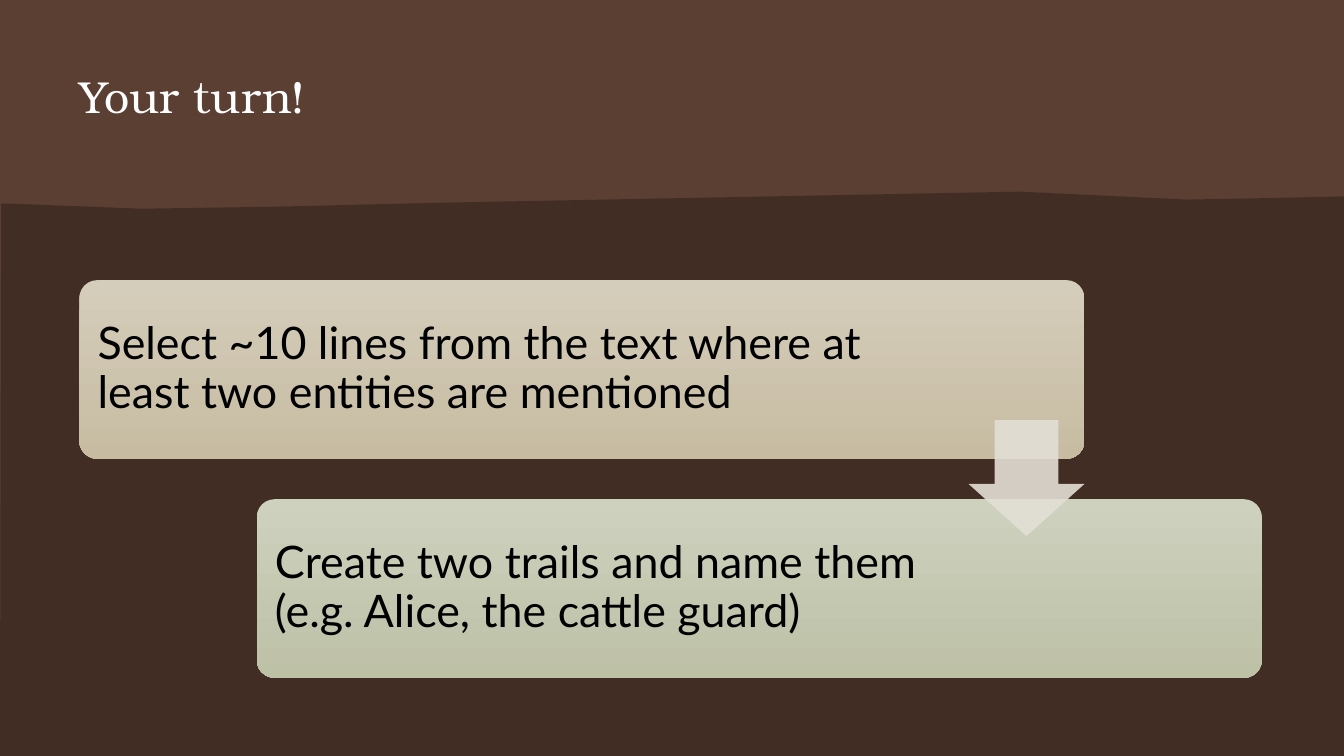
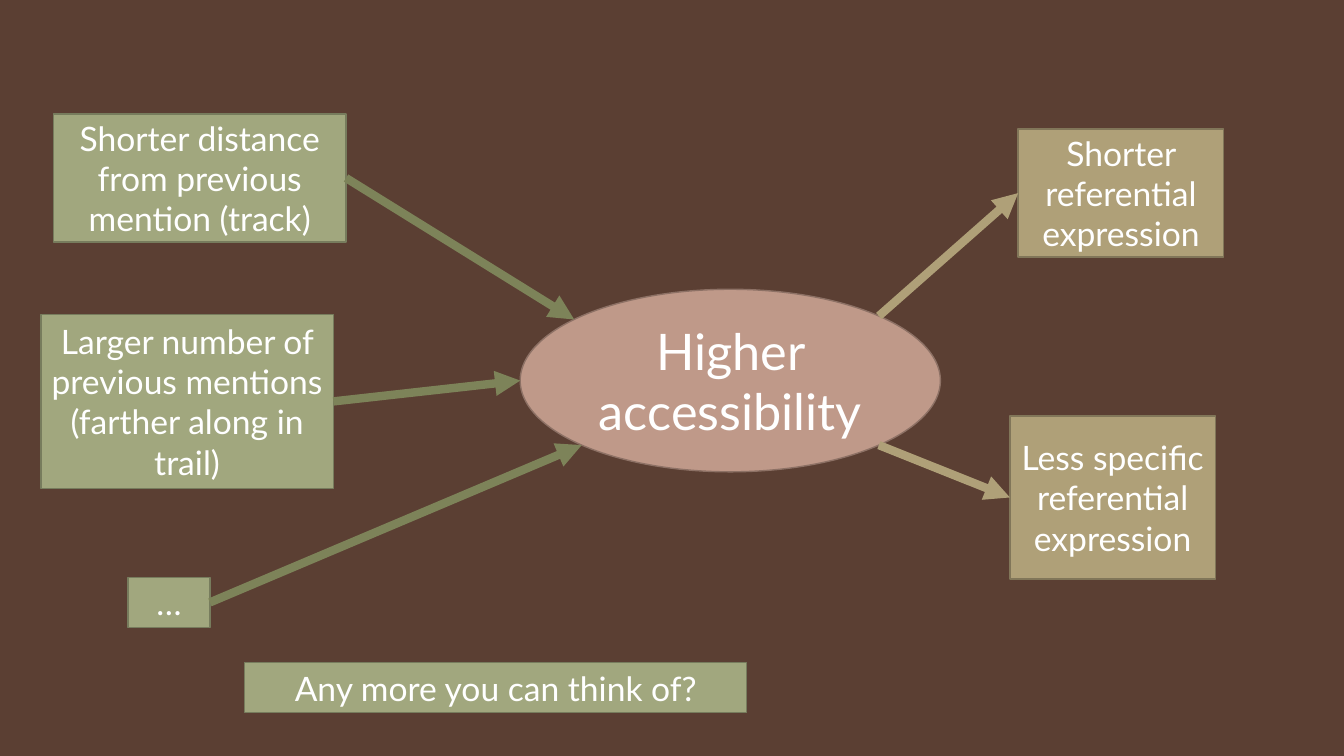
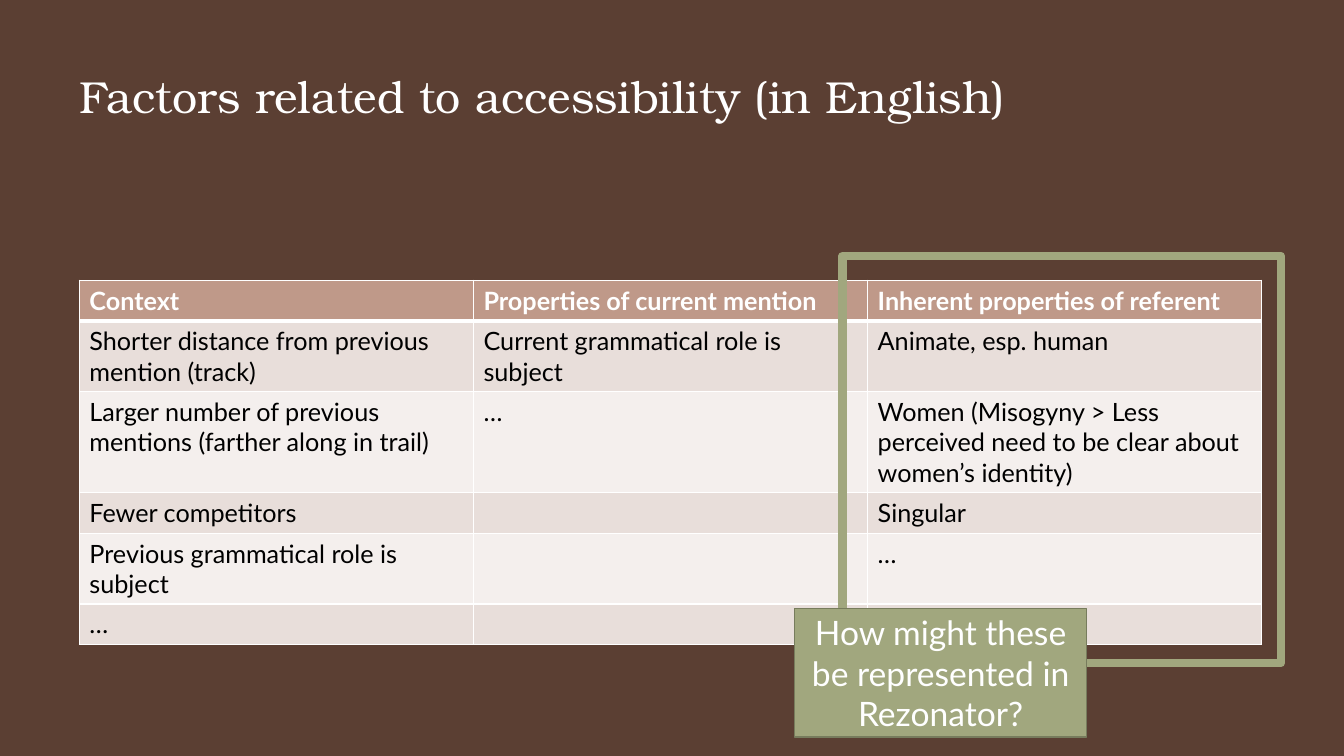
import math
from dataclasses import dataclass

import lxml.etree
import pptx
import pptx.dml.color
import pptx.enum.dml
import pptx.enum.shapes
import pptx.enum.text
import pptx.oxml.ns
import pptx.util

Cm = pptx.util.Cm
Pt = pptx.util.Pt
qn = pptx.oxml.ns.qn
Shape = pptx.enum.shapes.MSO_SHAPE
Anchor = pptx.enum.text.MSO_ANCHOR
Align = pptx.enum.text.PP_ALIGN


@dataclass(frozen=True)
class Theme:
    title_font: str = "TeX Gyre Bonum"
    body_font: str = "Lato"
    title_size: int = 32
    step_size: int = 32
    hub_size: int = 36
    box_size: int = 24
    table_size: int = 18
    brown: str = "5B3F33"
    dark: str = "412D24"
    white: str = "FFFFFF"
    black: str = "000000"
    rose: str = "BF9989"
    rose_line: str = "8D7165"
    green: str = "A1A77E"
    green_line: str = "777C5D"
    green_arrow: str = "7D8359"
    tan: str = "AFA078"
    tan_line: str = "817659"
    step_arrow: str = "E3DFD6"
    bands: tuple = ("E8DEDA", "F4EFED")
    thin: float = 1
    thick: float = 6


THEME = Theme()

# Content; positions are left, top, width, height in cm
PAGE_SIZE = (33.87, 19.05)
MARGIN = 2
CONTENT_WIDTH = 29.8
CONTENT_TOP = 7.06

TURN_TITLE = "Your turn!"
GROUND = [(25.7, 4.83), (29.9, 5.03), (31.57, 5), (33.87, 4.95), (33.87, 19.05),
          (0, 19.05), (0.03, 5.13), (0.2, 5.13), (3.56, 5.26), (6.91, 5.21), (11.07, 5.11)]
STEP_SIZE = (25.33, 4.5)
STEP_GAP = 1.02
STEP_ARROW = (24.41, 10.59, 2.92, 2.92)
# text, gradient from top to bottom, right inset
STEPS = [
    ("Select ~10 lines from the text where at least two entities are mentioned",
     ("D5CDBB", "C7BCA2"), 4.7),
    ("Create two trails and name them (e.g. Alice, the cattle guard)",
     ("CED1BE", "BDC1A6"), 7.72),
]

HUB = ("Higher accessibility", (13.11, 7.29, 10.59, 4.6))
# text, position, angle on the hub's rim (clockwise from the right)
CAUSES = [
    ("Shorter distance from previous mention (track)", (1.35, 2.87, 7.37, 3.23), 222),
    ("Larger number of previous mentions (farther along in trail)", (1.03, 7.92, 7.37, 4.39), 180),
    ("…", (3.23, 14.55, 2.06, 1.26), 135),
]
EFFECTS = [
    ("Shorter referential expression", (25.66, 3.25, 5.18, 3.23), 315),
    ("Less specific referential expression", (25.45, 10.48, 5.18, 4.11), 45),
]
QUESTION = ("Any more you can think of?", (6.17, 16.7, 12.65, 1.26))

FACTORS_TITLE = "Factors related to accessibility (in English)"
FACTORS = [
    ("Context", "Properties of current mention", "Inherent properties of referent"),
    ("Shorter distance from previous mention (track)", "Current grammatical role is subject",
     "Animate, esp. human"),
    ("Larger number of previous mentions (farther along in trail)", "…",
     "Women (Misogyny > Less perceived need to be clear about women’s identity)"),
    ("Fewer competitors", "", "Singular"),
    ("Previous grammatical role is subject", "", "…"),
    ("…", "", ""),
]
ROW_HEIGHT = 1.03
HIGHLIGHT = (21.23, 6.45, 11.05, 10.26)
CALLOUT = ("How might these be represented in Rezonator?", (20.02, 15.34, 7.37, 3.23))


# Helpers
def rgb(value):
    return pptx.dml.color.RGBColor.from_string(value)


def lengths(values):
    return [Cm(value) for value in values]


def style_text(frame, size, colour, font=THEME.body_font, bold=False, align=Align.LEFT):
    for para in frame.paragraphs:
        para.alignment = align
        for span in para.runs:
            span.font.name = font
            span.font.size = Pt(size)
            span.font.bold = bold
            span.font.color.rgb = rgb(colour)


def add_plain(page, kind, place, fill=None, line=None, width=THEME.thin):
    shape = page.shapes.add_shape(kind, *lengths(place))
    shape.shadow.inherit = False
    if fill:
        shape.fill.solid()
        shape.fill.fore_color.rgb = rgb(fill)
    else:
        shape.fill.background()
    if line:
        shape.line.color.rgb = rgb(line)
        shape.line.width = Pt(width)
    else:
        shape.line.fill.background()
    return shape


def add_box(page, text, place, fill, line, size=THEME.box_size, kind=Shape.RECTANGLE):
    box = add_plain(page, kind, place, fill, line)
    box.text_frame.text = text
    box.text_frame.word_wrap = True
    box.text_frame.vertical_anchor = Anchor.MIDDLE
    style_text(box.text_frame, size, THEME.white, align=Align.CENTER)
    return box


def add_title(page, text, height):
    title = page.shapes.title
    title.left, title.top, title.width, title.height = lengths((MARGIN, 1.73, CONTENT_WIDTH, height))
    frame = title.text_frame
    frame.text = text
    frame.auto_size = pptx.enum.text.MSO_AUTO_SIZE.NONE
    frame.vertical_anchor = Anchor.TOP
    frame.margin_left = frame.margin_right = frame.margin_top = frame.margin_bottom = 0
    style_text(frame, THEME.title_size, THEME.white, THEME.title_font)


def add_arrow(page, start, end, colour):
    arrow = page.shapes.add_connector(
        pptx.enum.shapes.MSO_CONNECTOR.STRAIGHT, *lengths(start + end))
    arrow.line.color.rgb = rgb(colour)
    arrow.line.width = Pt(THEME.thick)
    properties = arrow.element.spPr
    lxml.etree.SubElement(properties.find(qn("a:ln")), qn("a:tailEnd"), type="triangle")
    lxml.etree.SubElement(properties, qn("a:effectLst"))
    return arrow


def rim_point(place, degrees):
    left, top, width, height = place
    angle = math.radians(degrees)
    return (left + width / 2 * (1 + math.cos(angle)), top + height / 2 * (1 + math.sin(angle)))


def add_border(cell, side, width):
    line = lxml.etree.SubElement(cell._tc.get_or_add_tcPr(), qn("a:" + side), w=str(Pt(width)))
    fill = lxml.etree.SubElement(line, qn("a:solidFill"))
    lxml.etree.SubElement(fill, qn("a:srgbClr"), val=THEME.white)


# Slides
def build_turn(deck):
    page = deck.slides.add_slide(deck.slide_layouts[5])

    # Dark ground with an uneven upper edge
    points = [tuple(lengths(point)) for point in GROUND]
    builder = page.shapes.build_freeform(*points[0], scale=1.0)
    builder.add_line_segments(points[1:], close=True)
    ground = builder.convert_to_shape()
    ground.shadow.inherit = False
    ground.fill.solid()
    ground.fill.fore_color.rgb = rgb(THEME.dark)
    ground.line.fill.background()
    add_title(page, TURN_TITLE, 1.9)

    # Steps spread from the left margin to the right one
    width, height = STEP_SIZE
    shift = (CONTENT_WIDTH - width) / (len(STEPS) - 1)
    for index, (text, colours, right_inset) in enumerate(STEPS):
        place = (MARGIN + index * shift, CONTENT_TOP + index * (height + STEP_GAP), width, height)
        card = add_plain(page, Shape.ROUNDED_RECTANGLE, place)
        card.adjustments[0] = 0.1
        card.fill.gradient()
        card.fill.gradient_angle = 270
        for stop, colour in zip(card.fill.gradient_stops, colours):
            stop.color.rgb = rgb(colour)
        frame = card.text_frame
        frame.text = text
        frame.word_wrap = True
        frame.vertical_anchor = Anchor.MIDDLE
        frame.margin_left = Cm(0.33)
        frame.margin_right = Cm(right_inset)
        frame.paragraphs[0].line_spacing = 0.9
        style_text(frame, THEME.step_size, THEME.black)

    arrow = add_plain(page, Shape.DOWN_ARROW, STEP_ARROW, THEME.step_arrow)
    arrow.adjustments[0] = 0.45
    arrow.adjustments[0], arrow.adjustments[1] = 0.55, 0.45
    colour = arrow.element.spPr.find(qn("a:solidFill")).find(qn("a:srgbClr"))
    lxml.etree.SubElement(colour, qn("a:alpha"), val="90000")


def build_accessibility(deck):
    page = deck.slides.add_slide(deck.slide_layouts[6])
    hub_text, hub_place = HUB
    add_box(page, hub_text, hub_place, THEME.rose, THEME.rose_line, THEME.hub_size, Shape.OVAL)

    # Causes point at the hub, the hub points at its effects
    for text, place, degrees in CAUSES:
        box = add_box(page, text, place, THEME.green, THEME.green_line)
        rim = rim_point(hub_place, degrees)
        add_arrow(page, place[:2], rim, THEME.green_arrow).begin_connect(box, 3)
    for text, place, degrees in EFFECTS:
        box = add_box(page, text, place, THEME.tan, THEME.tan_line)
        rim = rim_point(hub_place, degrees)
        add_arrow(page, rim, place[:2], THEME.tan).end_connect(box, 1)
    add_box(page, *QUESTION, THEME.green, THEME.green_line)


def build_factors(deck):
    page = deck.slides.add_slide(deck.slide_layouts[5])
    add_title(page, FACTORS_TITLE, 4.11)

    # Table with a heavier rule under the header
    place = (MARGIN, CONTENT_TOP, CONTENT_WIDTH, ROW_HEIGHT * len(FACTORS))
    table = page.shapes.add_table(len(FACTORS), len(FACTORS[0]), *lengths(place)).table
    table.first_row = table.horz_banding = False
    for row, texts in enumerate(FACTORS):
        header = row == 0
        for column, text in enumerate(texts):
            cell = table.cell(row, column)
            for side in ("lnL", "lnR", "lnT", "lnB"):
                heavy = (row, side) in ((0, "lnB"), (1, "lnT"))
                add_border(cell, side, 3 if heavy else THEME.thin)
            cell.fill.solid()
            cell.fill.fore_color.rgb = rgb(THEME.rose if header else THEME.bands[(row - 1) % 2])
            cell.text_frame.text = text
            style_text(cell.text_frame, THEME.table_size,
                       THEME.white if header else THEME.black, bold=header)

    # Highlighted column and its question
    add_plain(page, Shape.RECTANGLE, HIGHLIGHT, line=THEME.green, width=THEME.thick)
    add_box(page, *CALLOUT, THEME.green, THEME.green_line)


def main():
    deck = pptx.Presentation()
    deck.slide_width, deck.slide_height = lengths(PAGE_SIZE)
    background = deck.slide_master.background.fill
    background.solid()
    background.fore_color.rgb = rgb(THEME.brown)
    build_turn(deck)
    build_accessibility(deck)
    build_factors(deck)
    deck.save("out.pptx")


if __name__ == "__main__":
    main()
